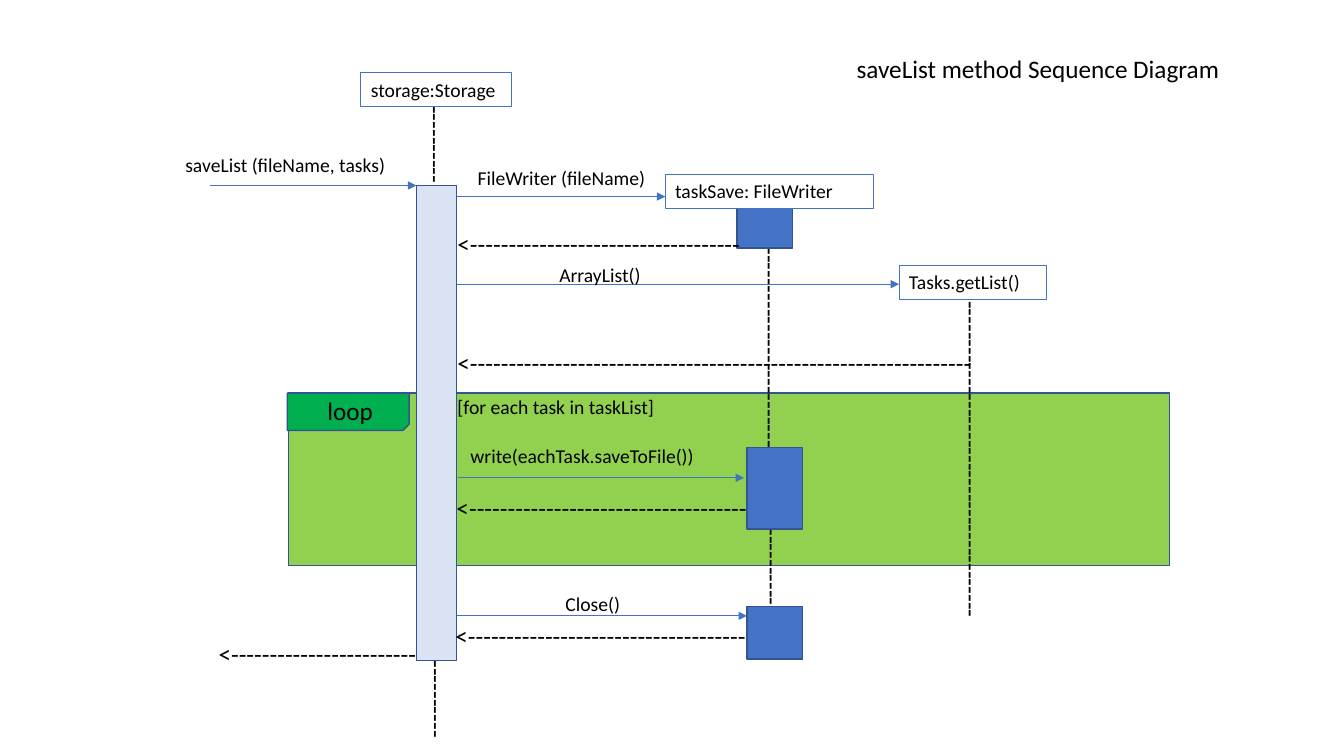
from lxml.etree import SubElement
from pptx import Presentation
from pptx.dml.color import RGBColor
from pptx.enum.shapes import MSO_CONNECTOR, MSO_SHAPE
from pptx.enum.text import MSO_ANCHOR, MSO_AUTO_SIZE, PP_ALIGN
from pptx.oxml.ns import qn
from pptx.util import Pt

COLORS = {
    "text": "000000",
    "blue": "4472C4",
    "edge": "325491",
    "bar": "DAE3F3",
    "loop": "92D050",
    "tag": "00B050",
}
FONT = "Calibri"
SMALL, LARGE = 14, 18
SMALL_H, LARGE_H = 24.5, 28.8


class SequenceDiagram:
    def __init__(self, s):
        self.s = s

    def color(self, name):
        return RGBColor.from_string(COLORS[name])

    def set_text(self, sp, text, size, wrap):
        tf = sp.text_frame
        tf.word_wrap = wrap
        tf.auto_size = MSO_AUTO_SIZE.SHAPE_TO_FIT_TEXT
        tf.vertical_anchor = MSO_ANCHOR.TOP
        p = tf.paragraphs[0]
        p.text = text
        p.alignment = PP_ALIGN.LEFT
        p.font.name = FONT
        p.font.size = Pt(size)
        p.font.color.rgb = self.color("text")

    def label(self, x, y, w, text, size=SMALL, wrap=False):
        h = SMALL_H if size == SMALL else LARGE_H
        sp = self.s.shapes.add_textbox(Pt(x), Pt(y), Pt(w), Pt(h))
        self.set_text(sp, text, size, wrap)
        return sp

    def block(self, x, y, w, h, fill=None, line="edge", weight=1,
              kind=MSO_SHAPE.RECTANGLE):
        sp = self.s.shapes.add_shape(kind, Pt(x), Pt(y), Pt(w), Pt(h))
        sp.shadow.inherit = False
        if fill:
            sp.fill.solid()
            sp.fill.fore_color.rgb = self.color(fill)
        else:
            sp.fill.background()
        sp.line.color.rgb = self.color(line)
        sp.line.width = Pt(weight)
        return sp

    def participant(self, x, y, w, text):
        sp = self.block(x, y, w, SMALL_H, line="blue", weight=0.75)
        self.set_text(sp, text, SMALL, True)

    def lifeline(self, x, top, length, dashes):
        """Dashes turned upright, centred on x."""
        sp = self.label(x - length / 2, top + length / 2 - LARGE_H / 2,
                        length, "-" * dashes, LARGE)
        sp.rotation = 90

    def reply(self, x, y, w, dashes):
        self.label(x, y, w, "<" + "-" * dashes, LARGE, wrap=True)

    def call(self, x1, x2, y):
        c = self.s.shapes.add_connector(
            MSO_CONNECTOR.STRAIGHT, Pt(x1), Pt(y), Pt(x2), Pt(y))
        c.line.color.rgb = self.color("blue")
        c.line.width = Pt(0.5)
        ln = c._element.spPr.find(qn("a:ln"))
        SubElement(ln, qn("a:tailEnd"), type="triangle")
        SubElement(c._element.spPr, qn("a:effectLst"))


def main():
    prs = Presentation()
    prs.slide_width, prs.slide_height = Pt(960), Pt(540)
    d = SequenceDiagram(prs.slides.add_slide(prs.slide_layouts[6]))

    # Loop frame
    d.block(206, 280.8, 629.3, 123.1, "loop")

    # Lifelines: centre, top, length, dashes
    for line in [(312.1, 68.8, 69.8, 10), (312.8, 464.8, 69.8, 10),
                 (551.2, 169.6, 182.2, 26), (552.6, 370.4, 69.8, 10),
                 (694.8, 208.1, 241.9, 41)]:
        d.lifeline(*line)

    # Activations
    d.block(297.4, 132.5, 28.8, 339.1, "bar")
    for x, y, h in [(526.3, 149, 28.1), (533.5, 319.7, 58.3),
                    (533.5, 433.4, 37.4)]:
        d.block(x, y, 39.6, h, "blue")

    # Participants
    d.participant(257.8, 51.8, 107.3, "storage:Storage")
    d.participant(475.2, 124.6, 149, "taskSave: FileWriter")
    d.participant(642.2, 189.4, 105.1, "Tasks.getList()")

    # Loop tag and guard
    tag = d.block(235.4, 250.6, 26.6, 87.1, "tag",
                  kind=MSO_SHAPE.SNIP_1_RECTANGLE)
    tag.rotation = 90
    d.label(226.8, 278.6, 47.5, "loop", LARGE)
    d.label(319.7, 278.6, 156.2, "[for each task in taskList]")

    # Calls: start, end, height, then label position, width and text
    for x1, x2, y, *label in [
        (149.8, 297.4, 132.5, 125.3, 105.8, 159.1, "saveList (fileName, tasks)"),
        (326.2, 475.2, 140.4, 334.1, 115.2, 135.4, "FileWriter (fileName)"),
        (326.2, 642.2, 203, 392.4, 184.3, 73.4, "ArrayList()"),
        (326.9, 531.4, 341.3, 329, 313.9, 175.7, "write(eachTask.saveToFile())"),
        (326.2, 533.5, 439.9, 396.7, 419, 54, "Close()"),
    ]:
        d.call(x1, x2, y)
        d.label(*label)

    # Replies: left, top, width, dashes
    for reply in [(319.7, 159.8, 216, 35), (319.7, 244.8, 456.5, 65),
                  (319, 347.8, 223.2, 36), (318.2, 439.9, 223.2, 36),
                  (149, 452.2, 157.7, 24)]:
        d.reply(*reply)

    # Title
    d.label(604.8, 34.6, 276.5, "saveList method Sequence Diagram", LARGE)

    prs.save("out.pptx")


if __name__ == "__main__":
    main()
